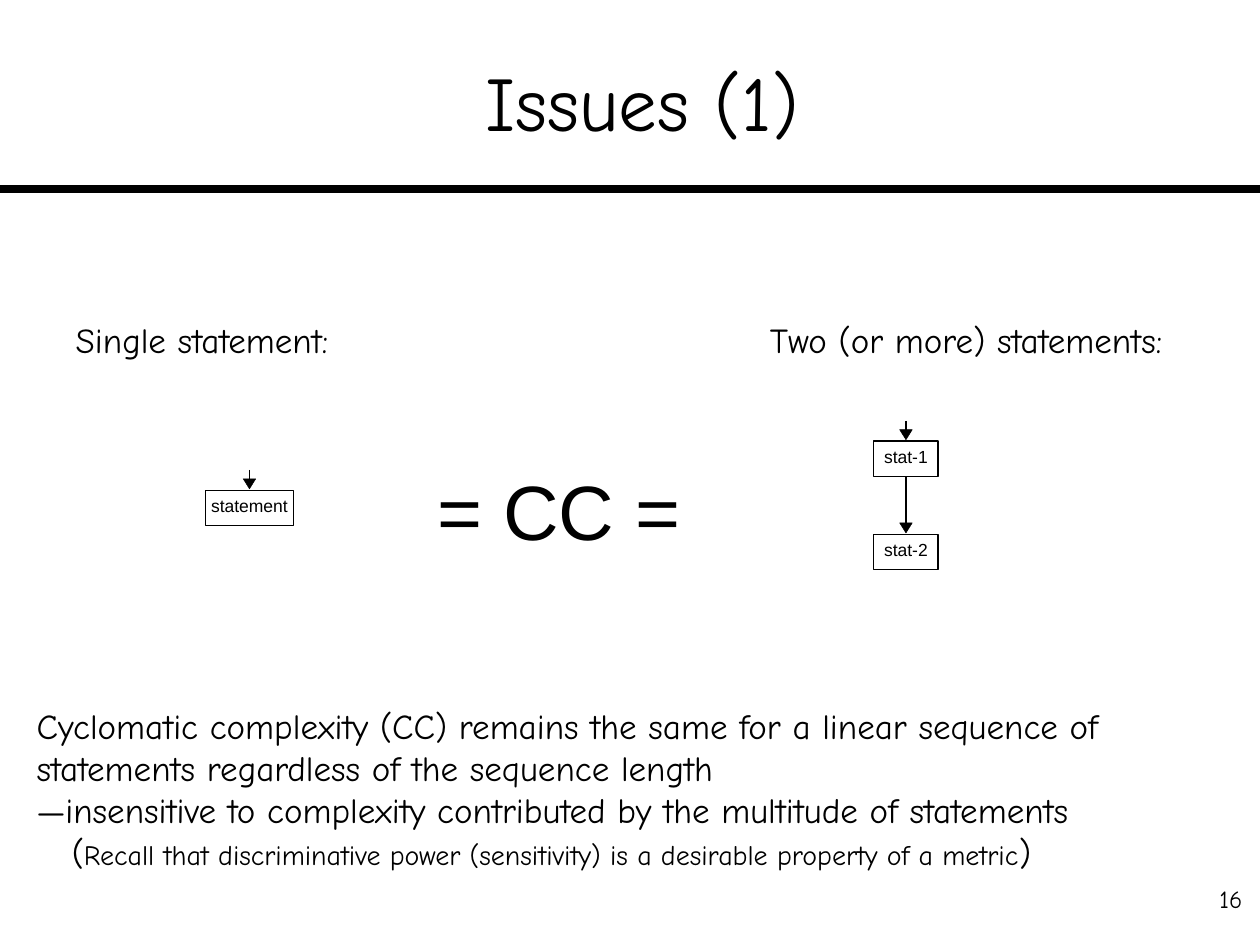
from dataclasses import dataclass

from lxml import etree
from pptx import Presentation
from pptx.dml.color import RGBColor
from pptx.enum.shapes import MSO_CONNECTOR, MSO_SHAPE
from pptx.enum.text import MSO_ANCHOR, MSO_AUTO_SIZE, PP_ALIGN
from pptx.oxml.ns import qn
from pptx.util import Inches, Pt

STRAIGHT = MSO_CONNECTOR.STRAIGHT
PROCESS, TRIANGLE = MSO_SHAPE.FLOWCHART_PROCESS, MSO_SHAPE.ISOSCELES_TRIANGLE
LEFT, CENTER, RIGHT = PP_ALIGN.LEFT, PP_ALIGN.CENTER, PP_ALIGN.RIGHT
TOP, MIDDLE = MSO_ANCHOR.TOP, MSO_ANCHOR.MIDDLE
GROW, FIXED = MSO_AUTO_SIZE.SHAPE_TO_FIT_TEXT, MSO_AUTO_SIZE.NONE


@dataclass(frozen=True)
class Theme:
    ink: RGBColor = RGBColor(0, 0, 0)
    paper: RGBColor = RGBColor(255, 255, 255)
    hand: str = "Comic Neue"
    plain: str = "Arial"
    display: int = 44
    body: int = 20
    aside: int = 16
    number: int = 14
    node: int = 10
    rule: float = 4.5
    thin: float = 0.75
    hair: float = 0.25


THEME = Theme()
NODE_HEIGHT = 0.28
HEAD_WIDTH, HEAD_HEIGHT = 0.1, 0.08


def add_text(page, at, paragraphs, font=THEME.hand, align=LEFT, anchor=TOP,
             tight=True, wrap=False):
    """Each paragraph is a list of (text, size) runs; tight boxes fit their text."""
    box = page.shapes.add_textbox(*map(Inches, at))
    frame = box.text_frame
    frame.word_wrap = wrap
    frame.auto_size = GROW if tight else FIXED
    frame.vertical_anchor = anchor
    if tight:
        frame.margin_left = frame.margin_right = Inches(0.01)
        frame.margin_top = frame.margin_bottom = 0
    for index, runs in enumerate(paragraphs):
        para = frame.add_paragraph() if index else frame.paragraphs[0]
        para.alignment = align
        for text, size in runs:
            span = para.add_run()
            span.text = text
            span.font.name = font
            span.font.size = Pt(size)
            span.font.color.rgb = THEME.ink
    return box


def add_line(page, start, end, width):
    line = page.shapes.add_connector(STRAIGHT, *map(Inches, start + end))
    line.line.color.rgb = THEME.ink
    line.line.width = Pt(width)
    etree.SubElement(line._element.spPr, qn("a:effectLst"))


def add_shape(page, kind, at, fill, width):
    shape = page.shapes.add_shape(kind, *map(Inches, at))
    shape.shadow.inherit = False
    shape.fill.solid()
    shape.fill.fore_color.rgb = fill
    shape.line.color.rgb = THEME.ink
    shape.line.width = Pt(width)
    return shape


def add_node(page, label, center, top, width, label_width, arrow_from):
    """Draw a flowchart box with its label and the arrow that enters it."""
    add_line(page, (center, arrow_from), (center, top - 0.08), THEME.thin)
    head = add_shape(page, TRIANGLE, (center - HEAD_WIDTH / 2, top - 0.09,
                                      HEAD_WIDTH, HEAD_HEIGHT), THEME.ink, THEME.hair)
    head.rotation = 180
    add_shape(page, PROCESS, (center - width / 2, top, width, NODE_HEIGHT),
              THEME.paper, THEME.thin)
    add_text(page, (center - label_width / 2, top + 0.04, label_width, 0.17),
             [[(label, THEME.node)]], THEME.plain, CENTER)


def add_conclusion(page):
    size = THEME.body
    box = add_text(page, (0.28, 5.59, 9.32, 1.33), [
        [("Cyclomatic complexity (CC) remains the same for a linear sequence of "
          "statements regardless of the sequence length", size)],
        [("—insensitive to complexity contributed by the multitude of statements", size)],
        [("(", size),
         ("Recall that discriminative power (sensitivity) is a desirable property "
          "of a metric", THEME.aside),
         (")", size)],
    ], wrap=True)
    # Indent the closing remark
    properties = box.text_frame.paragraphs[-1]._p.get_or_add_pPr()
    properties.set("marL", str(Inches(0.28)))
    properties.set("indent", "0")


def main():
    deck = Presentation()
    deck.slide_width, deck.slide_height = Inches(10), Inches(7.5)
    page = deck.slides.add_slide(deck.slide_layouts[6])

    # Header and page number
    add_line(page, (0, 1.5), (10, 1.5), THEME.rule)
    add_text(page, (0.35, 0.17, 9.49, 1.25), [[("Issues (1)", THEME.display)]],
             align=CENTER, anchor=MIDDLE, tight=False, wrap=True)
    add_text(page, (9.45, 6.97, 0.51, 0.5), [[("16", THEME.number)]],
             align=RIGHT, tight=False, wrap=True)

    # Captions and the equality between the two flowcharts
    for text, left, width in (("Single statement:", 0.59, 2.32),
                              ("Two (or more) statements:", 6.1, 3.48)):
        add_text(page, (left, 2.53, width, 0.33), [[(text, THEME.body)]])
    add_text(page, (3.46, 3.68, 2.13, 0.73), [[("= CC =", THEME.display)]], THEME.plain)

    # Flowcharts
    add_node(page, "statement", 1.98, 3.89, 0.7, 0.63, arrow_from=3.73)
    first_top, second_top = 3.5, 4.24
    add_node(page, "stat-1", 7.19, first_top, 0.51, 0.37, arrow_from=3.34)
    add_node(page, "stat-2", 7.19, second_top, 0.51, 0.37,
             arrow_from=first_top + NODE_HEIGHT)

    add_conclusion(page)
    deck.save("out.pptx")


if __name__ == "__main__":
    main()
